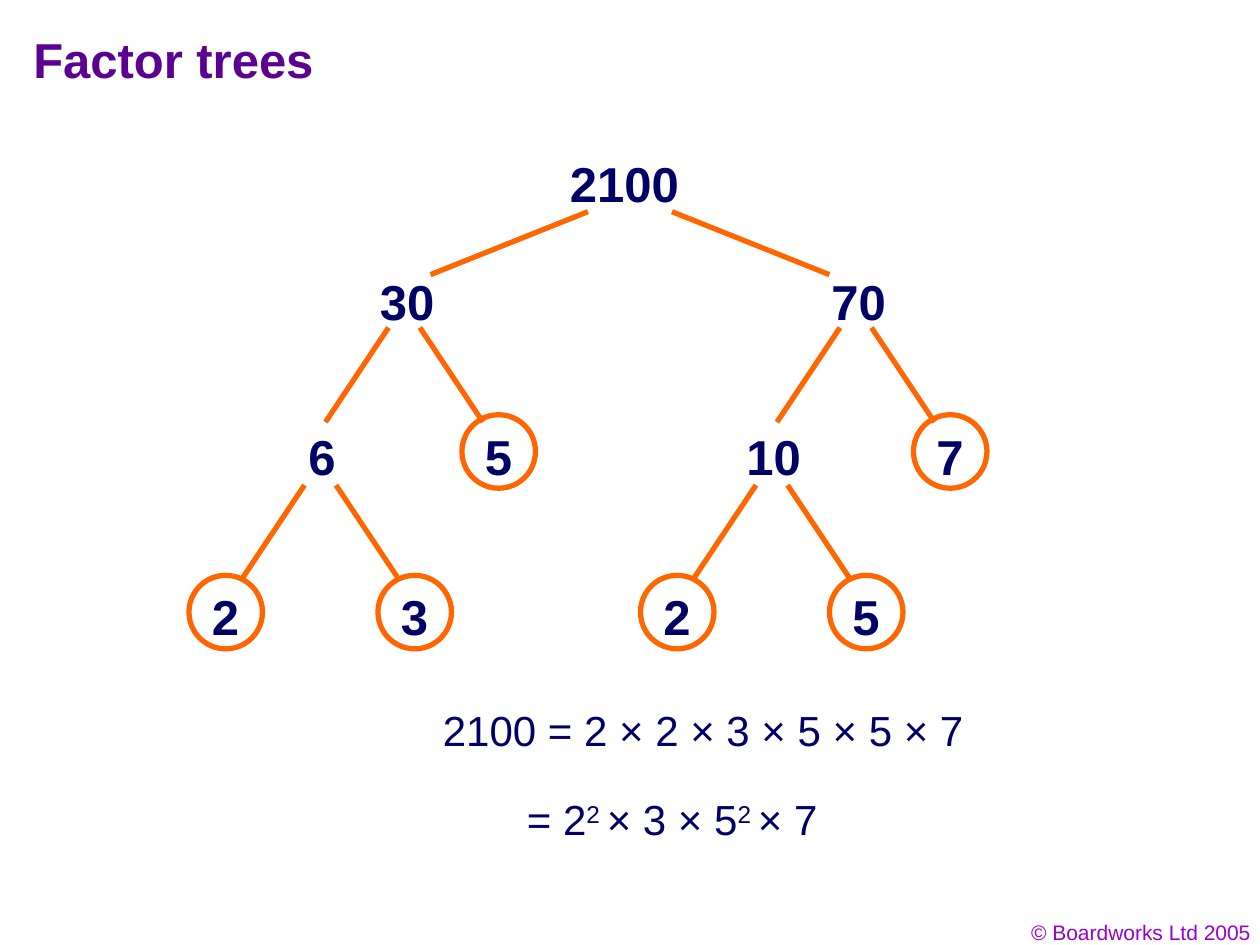
from lxml import etree
from pptx import Presentation
from pptx.dml.color import RGBColor
from pptx.enum.shapes import MSO_CONNECTOR, MSO_SHAPE
from pptx.enum.text import MSO_ANCHOR, PP_ALIGN
from pptx.oxml.ns import qn
from pptx.util import Inches, Pt

LINE, OVAL = MSO_CONNECTOR.STRAIGHT, MSO_SHAPE.OVAL
LEFT, RIGHT = PP_ALIGN.LEFT, PP_ALIGN.RIGHT
MIDDLE, TOP = MSO_ANCHOR.MIDDLE, MSO_ANCHOR.TOP

COLORS = {"title": "5B0091", "ink": "010066", "branch": "FF6600", "footer": "9900CC"}
FORMATS = {
    "title": {"size": Pt(28), "bold": True},
    "number": {"size": Pt(28), "bold": True},
    "equation": {"size": Pt(24), "bold": False},
    "footer": {"size": Pt(12), "bold": False},
}
TEXT_COLORS = {"title": "title", "number": "ink", "equation": "ink", "footer": "footer"}


def grid(n):
    """Length of n grid units, twelve to the inch."""
    return Inches(n / 12)


class TreeSlide:
    font = "Arial"
    line_width = Pt(3)
    number_height = 6.84
    circle_size = 7

    def __init__(self, prs):
        self.s = prs.slides.add_slide(prs.slide_layouts[6])

    def text(self, box, runs, style, align=LEFT, anchor=TOP, wrap=False):
        """Place (text, superscript) runs in a box of left, top, width, height."""
        tf = self.s.shapes.add_textbox(*map(grid, box)).text_frame
        tf.word_wrap, tf.vertical_anchor = wrap, anchor
        p = tf.paragraphs[0]
        p.alignment = align
        for text, raised in runs:
            r = p.add_run()
            r.text = text
            r.font.name = self.font
            r.font.color.rgb = RGBColor.from_string(COLORS[TEXT_COLORS[style]])
            for name, value in FORMATS[style].items():
                setattr(r.font, name, value)
            if raised:
                r._r.get_or_add_rPr().set("baseline", "30000")

    def outline(self, shape):
        shape.line.color.rgb = RGBColor.from_string(COLORS["branch"])
        shape.line.width = self.line_width

    def number(self, center, top, value, prime=False):
        width = 2.4 + 2.6 * len(value)
        self.text((center - width / 2, top, width, self.number_height),
                  [(value, False)], "number")
        if prime:
            self.circle(center, top - 0.5)

    def circle(self, center, top):
        d = self.circle_size
        sp = self.s.shapes.add_shape(OVAL, *map(grid, (center - d / 2, top, d, d)))
        sp.fill.background()
        sp.shadow.inherit = False
        self.outline(sp)

    def fork(self, center, top, gap, run, drop):
        """Draw two branches, mirrored about the center column."""
        for side in (-1, 1):
            x = center + side * gap / 2
            branch = self.s.shapes.add_connector(
                LINE, *map(grid, (x, top, x + side * run, top + drop)))
            self.outline(branch)
            etree.SubElement(branch._element.spPr, qn("a:effectLst"))


def main():
    prs = Presentation()
    prs.slide_width, prs.slide_height = grid(120), grid(90)
    slide = TreeSlide(prs)

    slide.text((92.3, 87, 28, 3.6), [("© Boardworks Ltd 2005", False)],
               "footer", RIGHT, wrap=True)
    slide.text((2, 2, 36, 7.3), [("Factor trees", False)], "title",
               anchor=MIDDLE, wrap=True)

    slide.fork(60, 20.16, 8, 15, 6)
    slide.number(59.5, 14, "2100")

    # Both halves share one layout: (center, top, is prime) for each factor
    places = [(38.8, 25.3, False), (30.7, 40, False), (47.5, 40, True),
              (21.5, 55.3, True), (39.5, 55.3, True)]
    halves = [(0, ["30", "6", "5", "2", "3"]), (43, ["70", "10", "7", "2", "5"])]
    for shift, values in halves:
        for center, top in ((38.5, 31.2), (30.5, 46.2)):
            slide.fork(center + shift, top, 3, 6, 9)
        for (center, top, prime), value in zip(places, values):
            slide.number(center + shift, top, value, prime)

    slide.text((41, 66.5, 52, 6), [("2100 = 2 × 2 × 3 × 5 × 5 × 7", False)], "equation")
    slide.text((49, 75, 30.5, 6),
               [("= 2", False), ("2 ", True), ("× 3 × 5", False), ("2 ", True),
                ("× 7", False)], "equation")
    prs.save("out.pptx")


if __name__ == "__main__":
    main()
